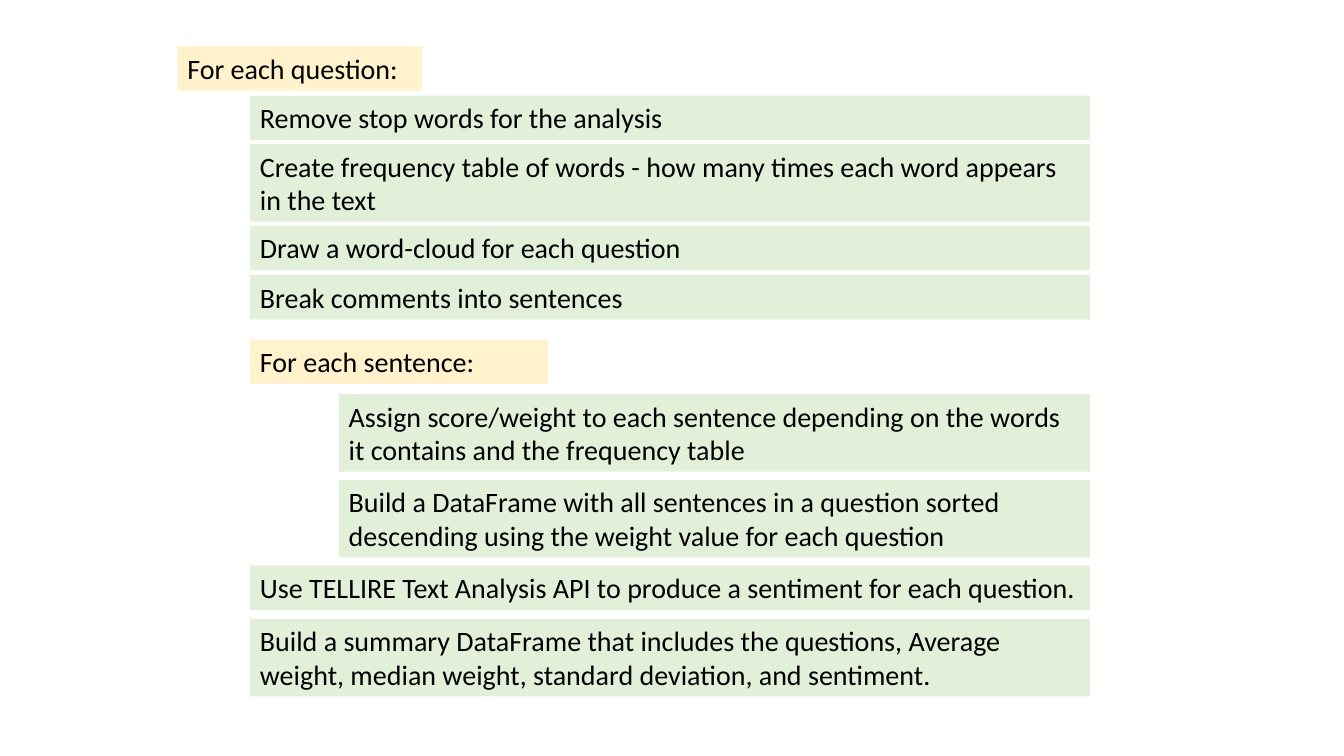
import pptx
import pptx.dml.color
import pptx.enum.shapes
import pptx.enum.text
import pptx.util
from pptx.util import Inches

LOOP_FILL = "FFF2CC"
STEP_FILL = "E2F0D9"
RIGHT_EDGE = 10.81
QUESTION_INDENT = 2.48
SENTENCE_INDENT = 3.36
ONE_LINE = 0.44
TWO_LINES = 0.77

LOOPS = [
    ("For each question:", 1.76, 0.46, 2.43),
    ("For each sentence:", QUESTION_INDENT, 3.37, 2.96),
]
STEPS = [
    ("Remove stop words for the analysis", QUESTION_INDENT, 0.95, ONE_LINE),
    ("Create frequency table of words - how many times each word appears in the text",
     QUESTION_INDENT, 1.43, TWO_LINES),
    ("Draw a word-cloud for each question", QUESTION_INDENT, 2.24, ONE_LINE),
    ("Break comments into sentences", QUESTION_INDENT, 2.73, ONE_LINE),
    ("Assign score/weight to each sentence depending on the words it contains "
     "and the frequency table", SENTENCE_INDENT, 3.91, TWO_LINES),
    ("Build a DataFrame with all sentences in a question sorted descending "
     "using the weight value for each question", SENTENCE_INDENT, 4.76, TWO_LINES),
    ("Use TELLIRE Text Analysis API to produce a sentiment for each question.",
     QUESTION_INDENT, 5.61, ONE_LINE),
    ("Build a summary DataFrame that includes the questions, Average weight, "
     "median weight, standard deviation, and sentiment.",
     QUESTION_INDENT, 6.14, TWO_LINES),
]


def color(hex_string):
    """Return the RGB colour for a hex string."""
    return pptx.dml.color.RGBColor.from_string(hex_string)


def add_box(slide, text, left, top, width, height, fill):
    """Add a filled rectangle with left-aligned text."""
    box = slide.shapes.add_shape(
        pptx.enum.shapes.MSO_SHAPE.RECTANGLE,
        Inches(left), Inches(top), Inches(width), Inches(height))
    box.shadow.inherit = False
    box.fill.solid()
    box.fill.fore_color.rgb = color(fill)
    box.line.fill.background()
    frame = box.text_frame
    frame.text = text
    frame.word_wrap = True
    frame.auto_size = pptx.enum.text.MSO_AUTO_SIZE.SHAPE_TO_FIT_TEXT
    frame.vertical_anchor = pptx.enum.text.MSO_ANCHOR.TOP
    paragraph = frame.paragraphs[0]
    paragraph.alignment = pptx.enum.text.PP_ALIGN.LEFT
    font = paragraph.runs[0].font
    font.name = "Calibri"
    font.size = pptx.util.Pt(20)
    font.color.rgb = color("000000")


def main():
    """Build the slide of nested analysis steps."""
    deck = pptx.Presentation()
    deck.slide_width = Inches(13.33)
    deck.slide_height = Inches(7.5)
    slide = deck.slides.add_slide(deck.slide_layouts[6])
    for text, left, top, width in LOOPS:
        add_box(slide, text, left, top, width, ONE_LINE, LOOP_FILL)
    for text, left, top, height in STEPS:
        add_box(slide, text, left, top, RIGHT_EDGE - left, height, STEP_FILL)
    deck.save("out.pptx")


if __name__ == "__main__":
    main()
